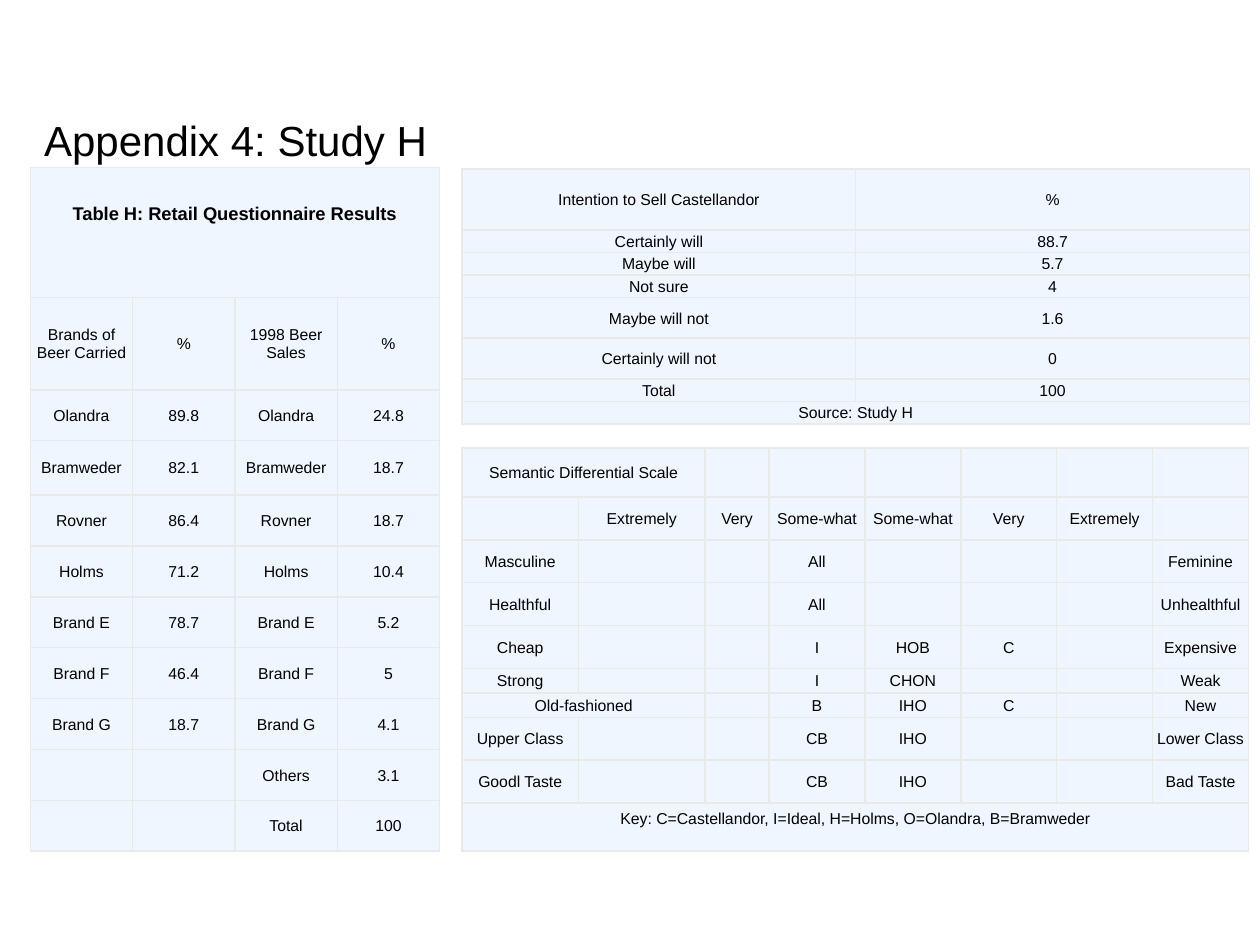
import pptx
import pptx.util
import pptx.dml.color
import pptx.enum.text
import pptx.oxml.ns
from lxml import etree

Pt = pptx.util.Pt
RGB = pptx.dml.color.RGBColor
ALIGN = pptx.enum.text.PP_ALIGN
MIDDLE = pptx.enum.text.MSO_ANCHOR.MIDDLE
qn = pptx.oxml.ns.qn

BLACK = RGB(0x00, 0x00, 0x00)
PALE = RGB(0xEF, 0xF6, 0xFF)
GRAY = RGB(0xE8, 0xEA, 0xE9)

BRANDS = [
    ["Table H: Retail Questionnaire Results", "", "", ""],
    ["Brands of Beer Carried", "%", "1998 Beer Sales", "%"],
    ["Olandra", "89.8", "Olandra", "24.8"],
    ["Bramweder", "82.1", "Bramweder", "18.7"],
    ["Rovner", "86.4", "Rovner", "18.7"],
    ["Holms", "71.2", "Holms", "10.4"],
    ["Brand E", "78.7", "Brand E", "5.2"],
    ["Brand F", "46.4", "Brand F", "5"],
    ["Brand G", "18.7", "Brand G", "4.1"],
    ["", "", "Others", "3.1"],
    ["", "", "Total", "100"],
]
SCALE = [
    ["Semantic Differential Scale", "", "", "", "", "", "", ""],
    ["", "Extremely", "Very", "Some-what", "Some-what", "Very", "Extremely", ""],
    ["Masculine", "", "", "All", "", "", "", "Feminine"],
    ["Healthful", "", "", "All", "", "", "", "Unhealthful"],
    ["Cheap", "", "", "I", "HOB", "C", "", "Expensive"],
    ["Strong", "", "", "I", "CHON", "", "", "Weak"],
    ["Old-fashioned", "", "", "B", "IHO", "C", "", "New"],
    ["Upper Class", "", "", "CB", "IHO", "", "", "Lower Class"],
    ["Goodl Taste", "", "", "CB", "IHO", "", "", "Bad Taste"],
    ["Key: C=Castellandor, I=Ideal, H=Holms, O=Olandra, B=Bramweder",
     "", "", "", "", "", "", ""],
]
INTENT = [
    ["Intention to Sell Castellandor", "%"],
    ["Certainly will", "88.7"],
    ["Maybe will", "5.7"],
    ["Not sure", "4"],
    ["Maybe will not", "1.6"],
    ["Certainly will not", "0"],
    ["Total", "100"],
    ["Source: Study H", ""],
]


def write(frame, text, size=9, bold=False, align=ALIGN.CENTER, font="Arial"):
    para = frame.paragraphs[0]
    para.alignment = align
    if not text:
        etree.SubElement(para._p, qn("a:endParaRPr"), sz=str(size * 100))
        return
    run = para.add_run()
    run.text = text
    run.font.size = Pt(size)
    run.font.bold = bold
    run.font.name = font
    run.font.color.rgb = BLACK


class Page:
    def __init__(self, deck):
        self.slide = deck.slides.add_slide(deck.slide_layouts[5])
        self.fill = PALE
        self.line = GRAY

    def title(self, text, left, top, width, height):
        box = self.slide.shapes.title
        box.left, box.top = Pt(left), Pt(top)
        box.width, box.height = Pt(width), Pt(height)
        frame = box.text_frame
        frame.auto_size = pptx.enum.text.MSO_AUTO_SIZE.NONE
        frame.vertical_anchor = MIDDLE
        write(frame, text, size=24, align=ALIGN.LEFT)

    def border(self, cell):
        props = cell._tc.get_or_add_tcPr()
        for side in ("lnL", "lnR", "lnT", "lnB"):
            edge = etree.SubElement(props, qn("a:" + side), w=str(Pt(1)))
            solid = etree.SubElement(edge, qn("a:solidFill"))
            etree.SubElement(solid, qn("a:srgbClr"), val=str(self.line))

    def cell(self, cell, text, foot=0, **style):
        self.border(cell)
        cell.fill.solid()
        cell.fill.fore_color.rgb = self.fill
        cell.margin_left = cell.margin_right = cell.margin_top = Pt(0.75)
        cell.margin_bottom = Pt(foot)
        cell.vertical_anchor = MIDDLE
        write(cell.text_frame, text, **style)

    def table(self, data, left, top, cols, rows, spans, special):
        frame = self.slide.shapes.add_table(
            len(rows), len(cols), Pt(left), Pt(top), Pt(sum(cols)), Pt(sum(rows)))
        grid = frame.table
        grid.first_row = grid.horz_banding = False
        for col, width in zip(grid.columns, cols):
            col.width = Pt(width)
        for row, height in zip(grid.rows, rows):
            row.height = Pt(height)
        for row, count in spans.items():
            grid.cell(row, 0).merge(grid.cell(row, count - 1))
        for r, words in enumerate(data):
            for c, text in enumerate(words):
                self.cell(grid.cell(r, c), text, **special.get((r, c), {}))


def main():
    deck = pptx.Presentation()
    deck.slide_width, deck.slide_height = Pt(720), Pt(540)
    page = Page(deck)
    page.title("Appendix 4: Study H", 18, 52.6, 651, 54)
    page.table(BRANDS, 17.3, 95.8, [58.5] * 4,
               [74.2, 52.8, 29.1, 31] + [29.1] * 7,
               {0: 4}, {(0, 0): dict(size=10.5, bold=True, foot=22)})
    page.table(SCALE, 264, 256, [66.5, 72.5, 36.5] + [54.8] * 5,
               [28] + [24.5] * 4 + [14] * 2 + [24.5] * 2 + [27.5],
               {0: 2, 6: 2, 9: 8}, {(9, 0): dict(foot=10)})
    page.table(INTENT, 264, 96.6, [225] * 2,
               [34.8] + [12.9] * 3 + [23.2] * 2 + [12.9] * 2,
               {7: 2}, {})
    deck.save("out.pptx")


if __name__ == "__main__":
    main()
